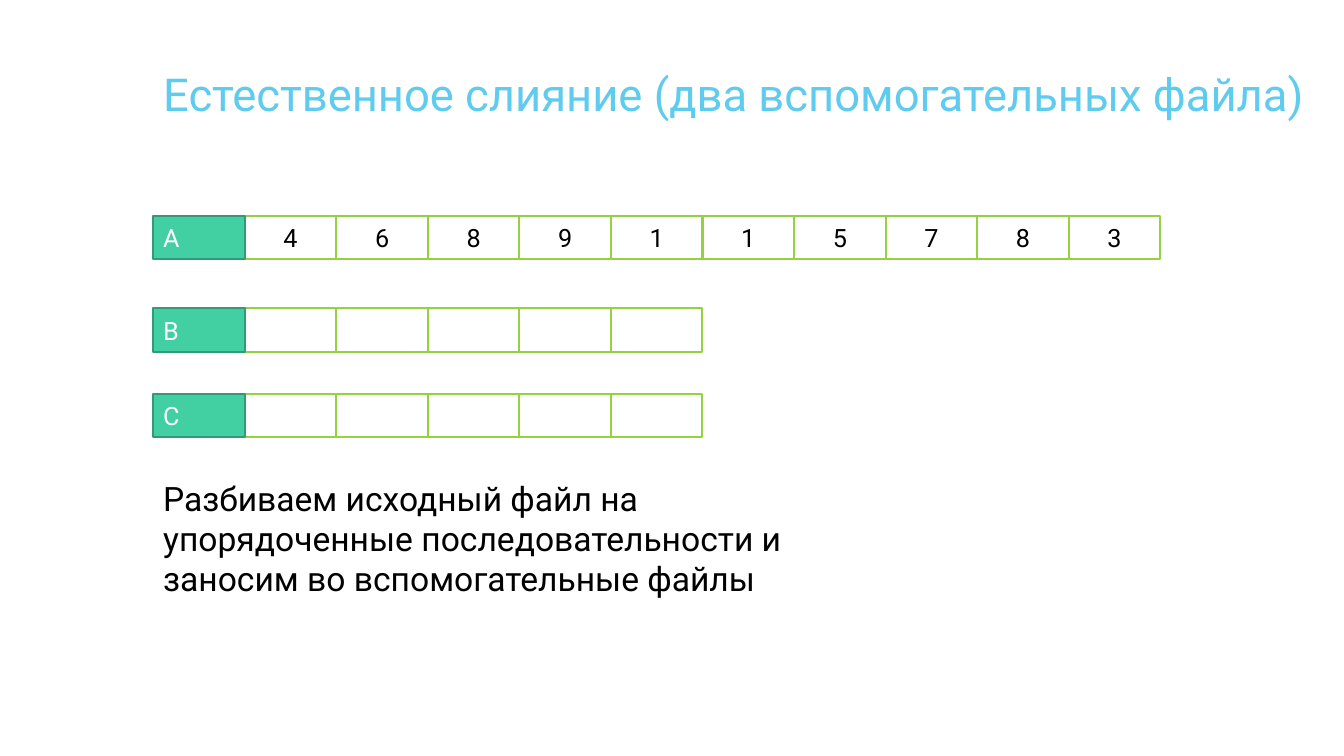
from pptx import Presentation
from pptx import util as u
from pptx.dml.color import RGBColor
from pptx.enum import shapes, text

THEME = {
    "font": "Roboto",
    "title": {"size": 32.4, "color": "5FCBEF"},
    "body": {"size": 24, "color": "000000"},
    "label": {"size": 18, "color": "FFFFFF", "fill": "42D0A2", "line": "319A78",
              "align": text.PP_ALIGN.LEFT},
    "cell": {"size": 18, "color": "000000", "fill": "FFFFFF", "line": "96D141",
             "align": text.PP_ALIGN.CENTER},
}

# Grid: left edge, column width and row height in inches
LEFT, COL, ROW = 1.52, 9.08 / 10, 0.43

prs = Presentation()
prs.slide_width, prs.slide_height = u.Inches(13.33), u.Inches(7.5)
s = prs.slides.add_slide(prs.slide_layouts[6])


def write(sp, words, style):
    tf = sp.text_frame
    tf.word_wrap = True
    p = tf.paragraphs[0]
    p.alignment = style.get("align", text.PP_ALIGN.LEFT)
    if words:
        r = p.add_run()
        r.text = words
        for name, value in {"name": THEME["font"], "size": u.Pt(style["size"])}.items():
            setattr(r.font, name, value)
        r.font.color.rgb = RGBColor.from_string(style["color"])
    return tf


def add_cell(col, top, words, style):
    sp = s.shapes.add_shape(shapes.MSO_SHAPE.RECTANGLE, u.Inches(LEFT + col * COL),
                            u.Inches(top), u.Inches(COL), u.Inches(ROW))
    sp.shadow.inherit = False
    sp.fill.solid()
    sp.fill.fore_color.rgb = RGBColor.from_string(style["fill"])
    sp.line.color.rgb = RGBColor.from_string(style["line"])
    sp.line.width = u.Pt(1.5)
    write(sp, words, style).vertical_anchor = text.MSO_ANCHOR.MIDDLE


# Files: source A and the empty helpers B and C, label drawn over the cells
files = [("A", 2.14, "4689115783"), ("B", 3.06, [""] * 5), ("C", 3.91, [""] * 5)]
for label, top, values in files:
    for col, value in enumerate(values, start=1):
        add_cell(col, top, value, THEME["cell"])
    add_cell(0, top, label, THEME["label"])

# Title and explanation
texts = [
    ("title", 0.61, 12.06, 0.97, "Естественное слияние (два вспомогательных файла)"),
    ("body", 4.69, 7, 1.31, "Разбиваем исходный файл на упорядоченные "
                            "последовательности и заносим во вспомогательные файлы"),
]
for style, top, width, height, words in texts:
    sp = s.shapes.add_textbox(*(u.Inches(v) for v in (LEFT, top, width, height)))
    write(sp, words, THEME[style])

prs.save("out.pptx")
